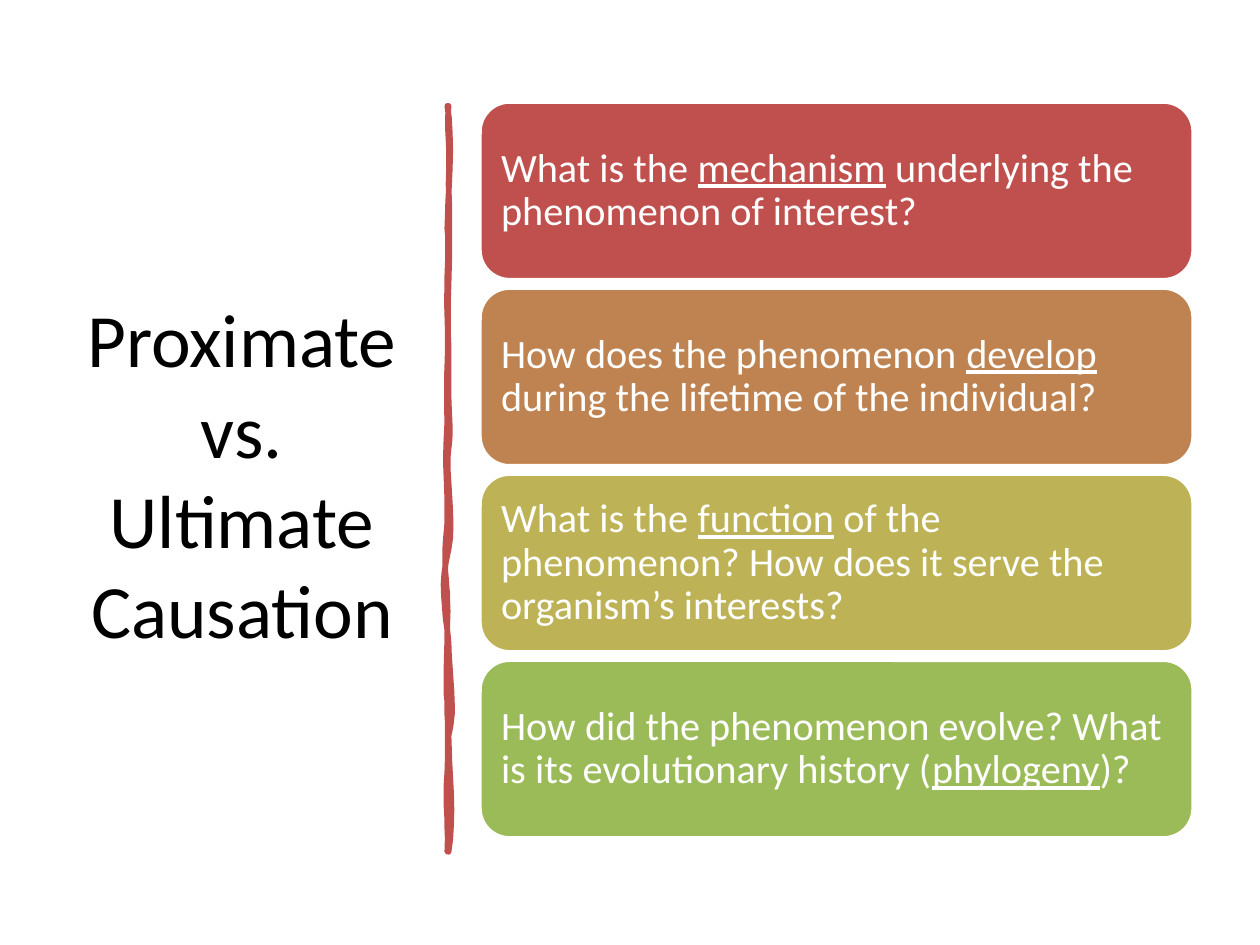
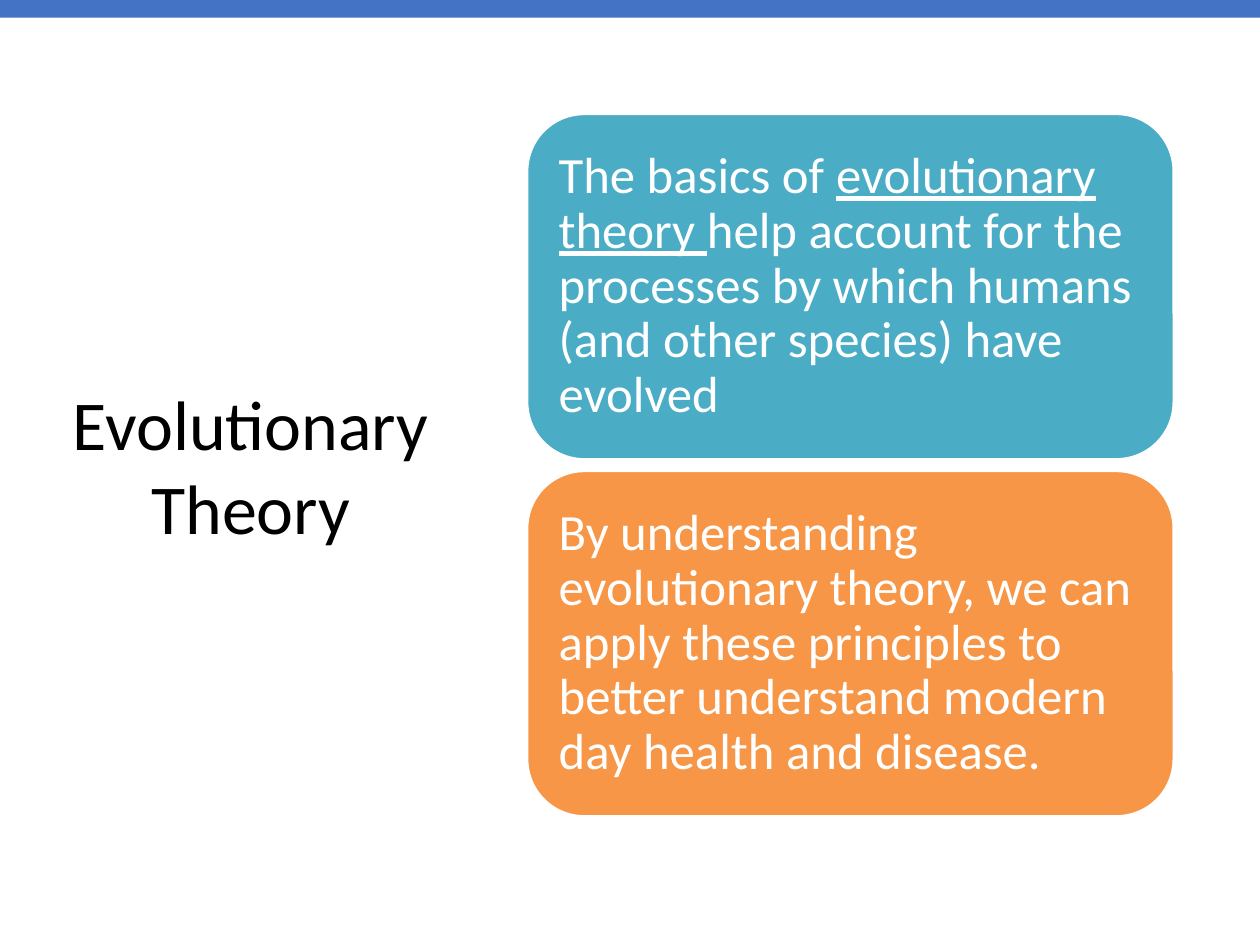
from dataclasses import dataclass
from typing import NamedTuple

from pptx import Presentation
from pptx.dml.color import RGBColor
from pptx.enum.shapes import MSO_SHAPE
from pptx.enum.text import MSO_ANCHOR, PP_ALIGN
from pptx.shapes.autoshape import Shape
from pptx.slide import Slide
from pptx.text.text import TextFrame
from pptx.util import Emu, Pt

PX = 3048  # EMU per px, 300 px to the inch


def px(length: int) -> Emu:
    return Emu(length * PX)


@dataclass(frozen=True)
class Theme:
    font: str = "Calibri"
    title: str = "000000"
    light: str = "FFFFFF"
    divider: str = "C0504D"
    band: str = "4472C4"
    red: str = "C0504D"
    brown: str = "BE8351"
    olive: str = "BDB255"
    green: str = "9BBB59"
    teal: str = "4BACC6"
    orange: str = "F79646"
    title_large: int = 43
    title_small: int = 40
    question_size: int = 23
    statement_size: int = 29
    card_outline: float = 2
    divider_outline: float = 3.25
    card_line_spacing: float = 0.9


THEME = Theme()


class Box(NamedTuple):
    left: int
    top: int
    width: int
    height: int


class Phrase(NamedTuple):
    text: str
    underline: bool = False


class Card(NamedTuple):
    color: str
    phrases: list[Phrase]


@dataclass(frozen=True)
class CardStack:
    first: Box
    gap: int
    inset: int
    text_size: int
    cards: list[Card]


class Curve(NamedTuple):
    """Cubic curve from the current point: two control points and an end."""
    x1: int
    y1: int
    x2: int
    y2: int
    x: int
    y: int


QUESTIONS = CardStack(
    Box(1143, 243, 1698, 423), gap=20, inset=30, text_size=THEME.question_size,
    cards=[
        Card(THEME.red, [Phrase("What is the "), Phrase("mechanism", True),
                         Phrase(" underlying the phenomenon of interest?")]),
        Card(THEME.brown, [Phrase("How does the phenomenon "), Phrase("develop", True),
                           Phrase(" during the lifetime of the individual?")]),
        Card(THEME.olive, [Phrase("What is the "), Phrase("function", True),
                           Phrase(" of the phenomenon? How does it serve "
                                  "the organism’s interests?")]),
        Card(THEME.green, [Phrase("How did the phenomenon evolve? What is its "
                                  "evolutionary history ("),
                           Phrase("phylogeny", True), Phrase(")?")]),
    ])

STATEMENTS = CardStack(
    Box(1254, 270, 1542, 825), gap=25, inset=36, text_size=THEME.statement_size,
    cards=[
        Card(THEME.teal, [Phrase("The basics of "), Phrase("evolutionary theory ", True),
                          Phrase("help account for the processes by which humans "
                                 "(and other species) have evolved")]),
        Card(THEME.orange, [Phrase("By understanding evolutionary theory, we can apply "
                                   "these principles to better understand modern day "
                                   "health and disease.")]),
    ])

# Hand-drawn divider: down the right edge, then back up the left edge
DIVIDER_START = (1068, 252)
DIVIDER_CURVES = [
    Curve(1065, 309, 1071, 348, 1068, 438),
    Curve(1071, 522, 1071, 573, 1068, 678),
    Curve(1065, 774, 1068, 786, 1068, 882),
    Curve(1065, 975, 1077, 1026, 1068, 1068),
    Curve(1059, 1116, 1083, 1242, 1068, 1308),
    Curve(1047, 1386, 1059, 1449, 1068, 1530),
    Curve(1068, 1605, 1086, 1689, 1068, 1752),
    Curve(1068, 1818, 1083, 1959, 1068, 2028),
    Curve(1068, 2025, 1065, 2028, 1065, 2028),
    Curve(1068, 1935, 1059, 1932, 1065, 1839),
    Curve(1068, 1749, 1065, 1710, 1065, 1671),
    Curve(1059, 1638, 1068, 1482, 1065, 1431),
    Curve(1065, 1386, 1053, 1341, 1065, 1245),
    Curve(1068, 1158, 1056, 1119, 1065, 1005),
    Curve(1062, 900, 1068, 837, 1065, 750),
    Curve(1062, 648, 1071, 609, 1065, 543),
    Curve(1065, 495, 1080, 312, 1065, 252),
]


def paint(shape: Shape, fill: str, outline: str | None = None, width: float = 0) -> None:
    shape.shadow.inherit = False
    shape.fill.solid()
    shape.fill.fore_color.rgb = RGBColor.from_string(fill)
    if outline is None:
        shape.line.fill.background()
    else:
        shape.line.color.rgb = RGBColor.from_string(outline)
        shape.line.width = Pt(width)


def write(frame: TextFrame, phrases: list[Phrase], size: int, color: str,
          alignment: PP_ALIGN, line_spacing: float = 1.0) -> None:
    frame.word_wrap = True
    frame.vertical_anchor = MSO_ANCHOR.MIDDLE
    paragraph = frame.paragraphs[0]
    paragraph.alignment = alignment
    paragraph.line_spacing = line_spacing
    for phrase in phrases:
        run = paragraph.add_run()
        run.text = phrase.text
        run.font.name = THEME.font
        run.font.size = Pt(size)
        run.font.color.rgb = RGBColor.from_string(color)
        if phrase.underline:
            run.font.underline = True


def add_title(slide: Slide, box: Box, text: str, size: int) -> None:
    shape = slide.shapes.add_textbox(*map(px, box))
    write(shape.text_frame, [Phrase(text)], size, THEME.title, PP_ALIGN.CENTER)


def add_cards(slide: Slide, stack: CardStack) -> None:
    for index, card in enumerate(stack.cards):
        top = stack.first.top + index * (stack.first.height + stack.gap)
        box = stack.first._replace(top=top)
        shape = slide.shapes.add_shape(MSO_SHAPE.ROUNDED_RECTANGLE, *map(px, box))
        paint(shape, card.color, THEME.light, THEME.card_outline)
        frame = shape.text_frame
        frame.margin_left = frame.margin_right = px(stack.inset)
        frame.margin_top = frame.margin_bottom = px(stack.inset)
        write(frame, card.phrases, stack.text_size, THEME.light,
              PP_ALIGN.LEFT, THEME.card_line_spacing)


def curve_points(start: tuple[int, int], curves: list[Curve],
                 steps: int = 8) -> list[tuple[float, float]]:
    points = []
    x, y = start
    for curve in curves:
        for step in range(1, steps + 1):
            t = step / steps
            s = 1 - t
            weights = (s ** 3, 3 * s * s * t, 3 * s * t * t, t ** 3)
            xs = (x, curve.x1, curve.x2, curve.x)
            ys = (y, curve.y1, curve.y2, curve.y)
            points.append((sum(w * v for w, v in zip(weights, xs)),
                           sum(w * v for w, v in zip(weights, ys))))
        x, y = curve.x, curve.y
    return points


def add_divider(slide: Slide) -> None:
    builder = slide.shapes.build_freeform(*DIVIDER_START, scale=PX)
    builder.add_line_segments(curve_points(DIVIDER_START, DIVIDER_CURVES), close=True)
    paint(builder.convert_to_shape(), THEME.divider, THEME.divider, THEME.divider_outline)


def add_band(slide: Slide, box: Box) -> None:
    paint(slide.shapes.add_shape(MSO_SHAPE.RECTANGLE, *map(px, box)), THEME.band)


def main() -> None:
    presentation = Presentation()
    presentation.slide_width, presentation.slide_height = px(3000), px(2250)
    blank = presentation.slide_layouts[6]

    # Four questions about causation
    slide = presentation.slides.add_slide(blank)
    add_title(slide, Box(156, 210, 840, 1833),
              "Proximate vs. Ultimate Causation", THEME.title_large)
    add_divider(slide)
    add_cards(slide, QUESTIONS)

    # Evolutionary theory
    slide = presentation.slides.add_slide(blank)
    add_title(slide, Box(129, 204, 936, 1806), "Evolutionary Theory", THEME.title_small)
    add_band(slide, Box(0, 0, 3000, 42))
    add_cards(slide, STATEMENTS)

    presentation.save("out.pptx")


if __name__ == "__main__":
    main()
